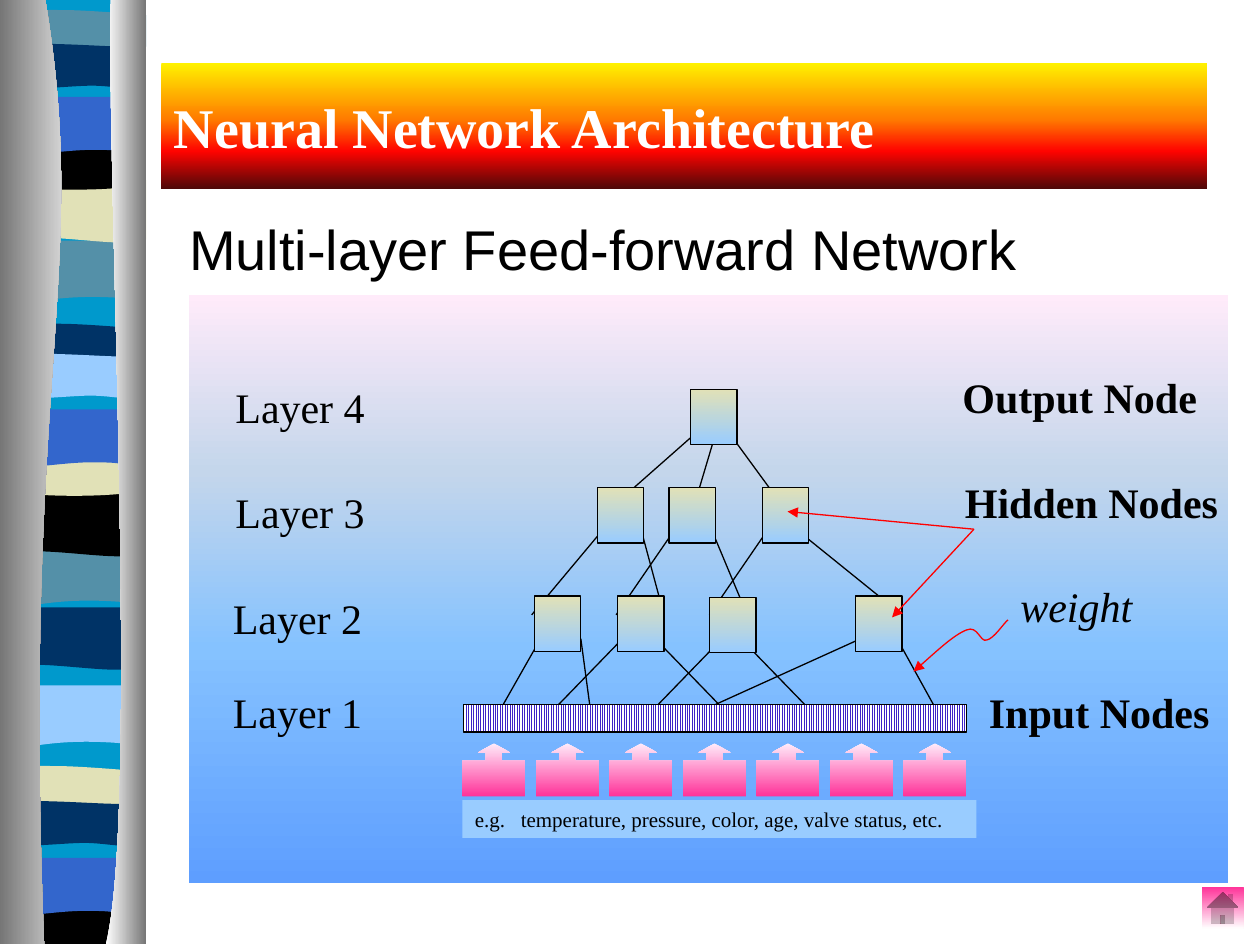
"""Build the neural network architecture slide."""
from lxml import etree
from pptx import Presentation, util as u
from pptx.dml.color import RGBColor
from pptx.enum import dml, shapes, text
from pptx.oxml.ns import qn

COLOURS = {
    "black": "000000", "white": "FFFFFF", "red": "FF0000", "grey": "767676",
    "navy": "003366", "blue": "3366CC", "sky": "99CCFF", "teal": "0099CC",
    "steel": "5490A8", "sand": "E1E1B7", "violet": "3D22C6",
    "pink": "FF3399", "blush": "FFEBFA", "mist": "C4D6EB",
    "azure": "85C2FF", "cobalt": "5E9EFF",
    "yellow": "FFF200", "orange": "FF7A00", "scarlet": "FF0300", "maroon": "4D0808",
}
SERIF = "Times New Roman"
WAVES = {
    "droop": [(1.08, 0), (1.08, .47), (.34, .39, .19, .55, 0, .47), (0, 0)],
    "swell": [(1.08, 0), (1.08, .47), (.9, .55, .33, .41, 0, .47), (0, 0)],
    "ribbon": [(1.08, .05), (1.08, .3), (.9, .34, .18, .34, 0, .3), (0, .05),
               (.07, 0, .24, .01, .42, .01), (.6, .01, .95, .04, 1.08, .05)],
    "sag": [(1.08, 0), (1.08, .32), (.9, .38, .18, .38, 0, .32), (0, 0),
            (.67, .05, .86, 0, 1.08, 0)],
    "arch": [(1.08, 0), (1.08, .47), (.91, .42, .84, .42, .66, .42),
             (.48, .42, .16, .47, 0, .47), (0, 0)],
    "flow": [(1.08, .05), (1.08, .36), (1.01, .41, .85, .36, .67, .36),
             (.49, .36, .11, .41, 0, .36), (0, .05), (.15, 0, .74, .05, .92, .05),
             (1.1, .05, 1.05, .05, 1.08, .05)],
    "base": [(1.08, 0), (1.08, .32), (0, .32), (0, 0), (.67, .05, .86, 0, 1.08, 0)],
    "backdrop": [(1.08, 0), (1.08, 7.48), (0, 7.48), (0, 0)],
}
BANDS = [
    ("backdrop", .06, -.01, "teal"),
    ("droop", .05, 1.91, "steel"), ("swell", .08, 1.43, "sand"),
    ("ribbon", .08, .07, "steel"), ("sag", .05, 1.14, "black"),
    ("arch", .06, .77, "blue"), ("flow", .06, .32, "navy"),
    ("droop", .02, 4.32, "steel"), ("swell", .05, 3.92, "black"),
    ("ribbon", .05, 2.56, "navy"), ("sag", .05, 3.57, "sand"),
    ("arch", .05, 3.25, "blue"), ("flow", .05, 2.78, "sky"),
    ("droop", 0, 5.44, "sky"), ("swell", .03, 4.82, "navy"), ("swell", .03, 4.97, "navy"),
    ("ribbon", .02, 6.07, "sand"), ("base", .02, 7.17, "black"),
    ("arch", 0, 6.81, "blue"), ("flow", 0, 6.33, "navy"),
]
BANDS.remove(("swell", .03, 4.97, "navy"))
LEFT_COLUMN = [(.36, 0), (.72, 2.16, .17, 2.96, .35, 7.49), (0, 7.49), (0, 0)]
RIGHT_COLUMN = [(.88, 0), (.84, 1.25, 1.11, 6.46, .84, 7.49), (1.16, 7.49), (1.16, 0)]
WEIGHT_CURVE = [(7.25, 5.33), (7.41, 5.19, 7.57, 5.04, 7.67, 5),
                (7.76, 4.96, 7.78, 5.1, 7.83, 5.08), (7.89, 5.07, 7.97, 4.94, 8, 4.92)]
EDGES = [
    (5.07, 5.81, [(4.29, 3.87)]),
    (5.07, 5.74, [(4.61, 4.7), (4.94, 4.29), (5.2, 5.85), (6.83, 5.35), (7.12, 7.49)]),
    (4.21, 4.88, [(4.78, 4.22), (5.09, 5.27), (5.35, 4.89), (5.65, 5.93),
                  (6.09, 5.63), (6.33, 7.16)]),
    (3.44, 4.11, [(5.52, 4.76), (5.79, 6.28)]),
    (3.44, 4.01, [(5.68, 5.51)]),
    (5.1, 5.77, [(5.91, 6.56)]),
    (5.08, 5.75, [(5.72, 5.07)]),
]
NODES = [(5.48, 3.09), (4.74, 3.87), (5.31, 3.87), (6.05, 3.87),
         (6.79, 4.73), (4.9, 4.73), (4.24, 4.73), (5.63, 4.74)]
LABELS = [
    ("Hidden Nodes", 7.56, 3.73, 2.21, {"bold": True}),
    ("Input Nodes", 7.75, 5.4, 1.95, {"bold": True}),
    ("Output Node", 7.54, 2.9, 2.06, {"bold": True}),
    ("Layer 1", 1.75, 5.4, 1.23, {}), ("Layer 2", 1.75, 4.65, 1.23, {}),
    ("Layer 3", 1.77, 3.81, 1.23, {}), ("Layer 4", 1.77, 2.98, 1.23, {}),
    ("weight", 8, 4.56, 1.09, {"italic": True}),
]


def rgb(name):
    return RGBColor.from_string(COLOURS[name])


def inches(*values):
    return [u.Inches(value) for value in values]


def paint(shape, fill=None, line=None, angle=90):
    """Fill with a colour name or a list of (percent, name) stops, and set the outline."""
    if isinstance(fill, str):
        shape.fill.solid()
        shape.fill.fore_color.rgb = rgb(fill)
    elif fill:
        shape.fill.gradient()
        shape.fill.gradient_angle = -angle % 360
        gradient = shape._element.spPr.find(qn("a:gradFill"))
        gradient.set("rotWithShape", "0")
        stops = gradient.find(qn("a:gsLst"))
        for stop in list(stops):
            stops.remove(stop)
        for percent, name in fill:
            stop = etree.SubElement(stops, qn("a:gs"), pos=str(percent * 1000))
            etree.SubElement(stop, qn("a:srgbClr"), val=COLOURS[name])
    else:
        shape.fill.background()
    outline(shape, line)


def outline(shape, colour):
    if colour:
        shape.line.color.rgb = rgb(colour)
        shape.line.width = u.Pt(.75)
    else:
        shape.line.fill.background()


def add_arrowhead(shape, end):
    etree.SubElement(shape.line._get_or_add_ln(), qn(f"a:{end}"), type="triangle")


def write(frame, words, font=SERIF, size=24, colour="black", bold=False, italic=False):
    para = frame.paragraphs[0]
    para.alignment = text.PP_ALIGN.LEFT
    span = para.add_run()
    span.text = words
    span.font.name, span.font.size = font, u.Pt(size)
    span.font.bold, span.font.italic = bold, italic
    span.font.color.rgb = rgb(colour)
    return para


def add_label(page, words, left, top, width, height=.5, wrap=False, **style):
    frame = page.shapes.add_textbox(*inches(left, top, width, height)).text_frame
    frame.word_wrap = wrap
    return write(frame, words, **style)


def add_box(page, kind, left, top, width, height, fill=None, line=None):
    box = page.shapes.add_shape(kind, *inches(left, top, width, height))
    box.shadow.inherit = False
    paint(box, fill, line)
    return box


def add_line(page, start, end, colour="black"):
    line = page.shapes.add_connector(shapes.MSO_CONNECTOR.STRAIGHT, *inches(*start, *end))
    outline(line, colour)
    etree.SubElement(line._element.spPr, qn("a:effectLst"))
    return line


def add_outline(page, steps, left=0, top=0, closed=True, **style):
    """Draw corners (pairs) and cubic curves (six numbers) as one freeform."""
    start, *rest = [inches(left + step[i], top + step[i + 1])
                    for step in steps for i in range(0, len(step), 2)]
    builder = page.shapes.build_freeform(*start)
    builder.add_line_segments(rest, close=closed)
    shape = builder.convert_to_shape()
    segments = iter(list(shape._element.iter(qn("a:lnTo"))))
    for step in steps[1:]:
        first = next(segments)
        if len(step) == 6:
            curve = etree.Element(qn("a:cubicBezTo"))
            first.addprevious(curve)
            for segment in (first, next(segments), next(segments)):
                curve.append(segment[0])
                segment.getparent().remove(segment)
    shape.shadow.inherit = False
    paint(shape, **style)
    return shape


def add_sidebar(page):
    for wave, left, top, colour in BANDS:
        add_outline(page, WAVES[wave], left, top, fill=colour)
    add_outline(page, LEFT_COLUMN, fill=[(0, "grey"), (100, "white")], angle=0)
    add_outline(page, RIGHT_COLUMN, fill=[(0, "white"), (100, "grey")], angle=0)


def add_title(page):
    title = page.shapes.title
    title.left, title.top, title.width, title.height = inches(1.28, .5, 8.3, 1)
    paint(title, [(0, "yellow"), (45, "orange"), (70, "scarlet"), (100, "maroon")])
    title.text_frame.vertical_anchor = text.MSO_ANCHOR.MIDDLE
    write(title.text_frame, "Neural Network Architecture", size=32, colour="white", bold=True)


def add_network(page):
    kinds = shapes.MSO_SHAPE
    for top, bottom, spans in EDGES:
        for upper, lower in spans:
            add_line(page, (upper, top), (lower, bottom))
    for left, top in NODES:
        add_box(page, kinds.RECTANGLE, left, top, .37, .44,
                [(0, "sand"), (100, "sky")], "black")
    inputs = add_box(page, kinds.RECTANGLE, 3.68, 5.59, 3.99, .22, line="black")
    inputs.fill.patterned()
    inputs.fill.pattern = dml.MSO_PATTERN.LIGHT_VERTICAL
    inputs.fill.fore_color.rgb, inputs.fill.back_color.rgb = rgb("violet"), rgb("white")
    for column in range(7):
        arrow = add_box(page, kinds.DOWN_ARROW_CALLOUT, 3.67 + column * 3.5 / 6, 5.9, .5, .42,
                        [(0, "blush"), (100, "pink")])
        arrow.rotation = 180
        for index, value in enumerate((.3, .3, .17, .67)):
            arrow.adjustments[index] = value
    for target in ((6.25, 4.06), (7.08, 4.9)):
        add_arrowhead(add_line(page, (7.73, 4.2), target, "red"), "tailEnd")
    add_arrowhead(add_outline(page, WEIGHT_CURVE, closed=False, line="red"), "headEnd")


def main():
    deck = Presentation()
    deck.slide_width, deck.slide_height = inches(10, 7.5)
    page = deck.slides.add_slide(deck.slide_layouts[5])
    kinds = shapes.MSO_SHAPE
    add_sidebar(page)
    add_title(page)
    add_box(page, kinds.ACTION_BUTTON_HOME, 9.54, 7.04, .33, .33, [(0, "pink"), (100, "white")])
    add_box(page, kinds.RECTANGLE, 1.5, 2.34, 8.25, 4.67,
            [(0, "blush"), (30, "mist"), (60, "azure"), (100, "cobalt")])
    add_network(page)
    for words, left, top, width, style in LABELS:
        add_label(page, words, left, top, width, **style)
    heading = add_label(page, " Multi-layer Feed-forward Network", 1.28, 1.65, 8.5, 4.92,
                        wrap=True, font="Arial", size=32)
    heading.space_before = u.Pt(6)
    example = add_box(page, kinds.RECTANGLE, 3.67, 6.35, 4.08, .3, "sky")
    write(example.text_frame, "e.g.   temperature, pressure, color, age, valve status, etc.", size=12)
    deck.save("out.pptx")


if __name__ == "__main__":
    main()
